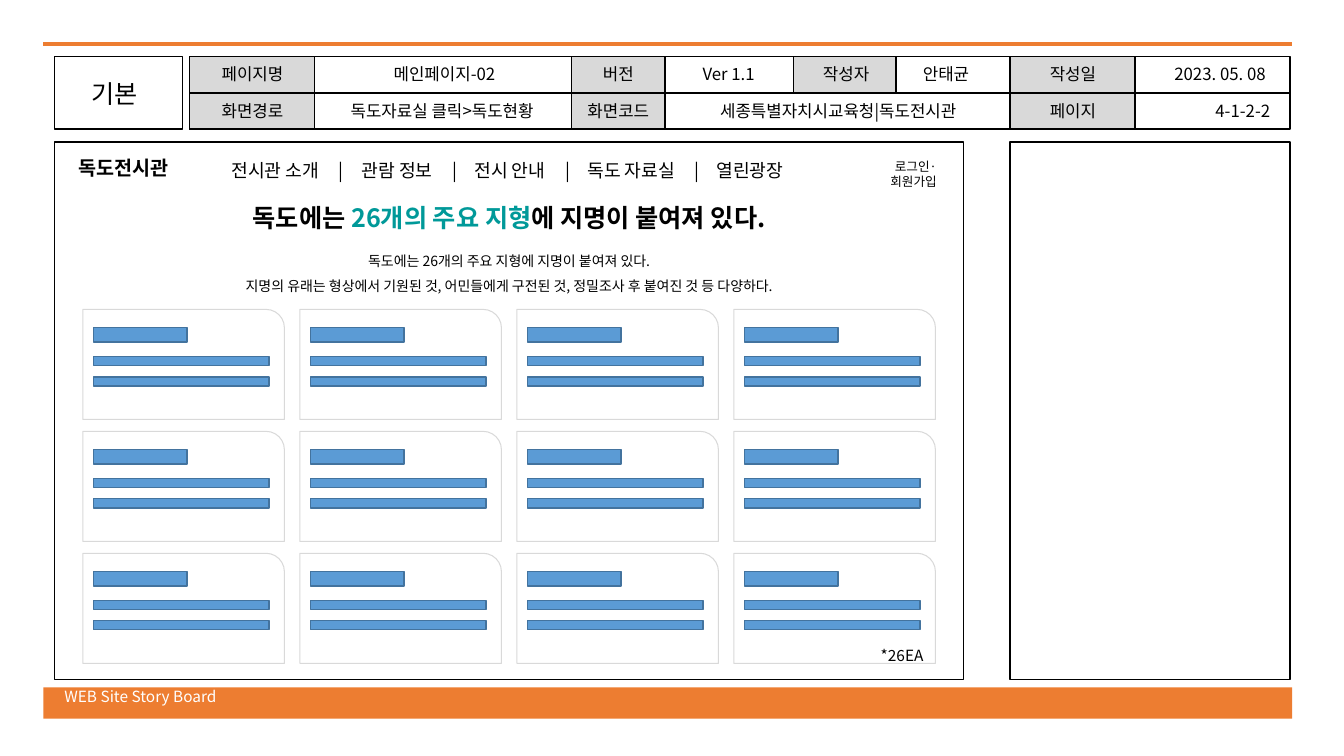
from lxml import etree
from pptx import Presentation
from pptx.dml.color import RGBColor
from pptx.enum.shapes import MSO_CONNECTOR, MSO_SHAPE
from pptx.enum.text import MSO_ANCHOR, MSO_AUTO_SIZE, PP_ALIGN
from pptx.oxml.ns import qn
from pptx.util import Pt

RECT, CARD = MSO_SHAPE.RECTANGLE, MSO_SHAPE.ROUND_1_RECTANGLE
STRAIGHT = MSO_CONNECTOR.STRAIGHT
TOP, NO_FIT = MSO_ANCHOR.TOP, MSO_AUTO_SIZE.NONE
LEFT, CENTER, RIGHT = PP_ALIGN.LEFT, PP_ALIGN.CENTER, PP_ALIGN.RIGHT

COLORS = {
    "orange": "ED7D31", "black": "000000", "white": "FFFFFF", "label": "D9D9D9",
    "bar": "5B9BD5", "bar_edge": "43739E", "teal": "009999",
}


class Board:
    """Style and current slide of a storyboard; all lengths are points."""

    font = "Noto Sans CJK KR"

    def __init__(self, slide):
        self.s = slide

    def color(self, name):
        return RGBColor.from_string(COLORS[name])

    def box(self, x, y, w, h, fill=None, line="black", width=1, kind=RECT, shapes=None):
        sp = (shapes or self.s.shapes).add_shape(kind, Pt(x), Pt(y), Pt(w), Pt(h))
        sp.shadow.inherit = False
        if fill:
            sp.fill.solid()
            sp.fill.fore_color.rgb = self.color(fill)
        else:
            sp.fill.background()
        if line:
            sp.line.color.rgb = self.color(line)
            sp.line.width = Pt(width)
        else:
            sp.line.fill.background()

    def rule(self, x1, x2, y, color, width):
        cn = self.s.shapes.add_connector(STRAIGHT, Pt(x1), Pt(y), Pt(x2), Pt(y))
        cn.line.color.rgb = self.color(color)
        cn.line.width = Pt(width)
        etree.SubElement(cn._element.spPr, qn("a:effectLst"))

    def run(self, p, text, size, color, bold):
        r = p.add_run()
        r.text = text
        r.font.name = self.font
        r.font.size = Pt(size)
        r.font.bold = bold
        r.font.color.rgb = self.color(color)
        etree.SubElement(r.font._element, qn("a:ea"), typeface=self.font)

    def fill_text(self, sp, lines, size, align, bold, spacing, stops):
        tf = sp.text_frame
        tf.word_wrap = True
        tf.auto_size = NO_FIT
        tf.vertical_anchor = TOP
        p = tf.paragraphs[0]
        p.alignment = align
        p.line_spacing = spacing
        if stops:
            tabs = etree.SubElement(p._p.get_or_add_pPr(), qn("a:tabLst"))
            for pos, kind in stops:
                etree.SubElement(tabs, qn("a:tab"), pos=str(Pt(pos)), algn=kind)
        for i, runs in enumerate(lines):
            if i:
                p.add_line_break()
            for text, color in runs:
                self.run(p, text, size, color, bold)

    def text(self, x, y, w, h, lines, size=12, align=CENTER, color="black",
             bold=False, spacing=1.0, stops=()):
        sp = self.s.shapes.add_textbox(Pt(x), Pt(y), Pt(w), Pt(h))
        self.fill_text(sp, [[(t, color)] for t in lines], size, align, bold, spacing, stops)

    def title(self, x, y, w, h, runs, size):
        sp = self.s.shapes.title
        sp.left, sp.top, sp.width, sp.height = Pt(x), Pt(y), Pt(w), Pt(h)
        self.fill_text(sp, [runs], size, CENTER, True, 1.0, ())

    def card(self, x, y, shapes):
        self.box(x, y, 144, 78.6, "white", "label", 0.75, CARD, shapes)
        for dy, w, h in ((13, 67, 10.4), (33.6, 125.5, 6.5), (48.2, 125.5, 6.5)):
            self.box(x + 7.5, y + dy, w, h, "bar", "bar_edge", 1, RECT, shapes)


def header(b):
    b.box(39, 40.5, 91.5, 51.8)
    b.box(135.5, 40.5, 786, 51.8)
    for x, w in ((135.5, 89.3), (408.2, 67), (721.4, 89.3)):
        b.box(x, 40.5, w, 51.8, "label")
    b.rule(135.5, 921.5, 66.4, "black", 1)
    b.box(566.6, 40.5, 73.4, 25.9, "label")
    b.text(54.7, 52.4, 54, 29, ["기본"], 18)
    rows = (
        (42.3, ((146.9, 67, "페이지명"), (238.3, 158.4, "메인페이지-02"),
                (421.2, 41, "버전"), (492.5, 56, "Ver 1.1"), (577.4, 54, "작성자"),
                (648.7, 54, "안태균"), (739.4, 54, "작성일"), (828, 87, "2023. 05. 08"))),
        (68.5, ((146.9, 67, "화면경로"), (224, 183.6, "독도자료실 클릭>독도현황"),
                (408.2, 67, "화면코드"), (494, 209.5, "세종특별자치시교육청|독도전시관"),
                (739.4, 54, "페이지"))),
    )
    for y, cells in rows:
        for x, w, label in cells:
            b.text(x, y, w, 21.8, [label])
    b.text(843.8, 68.5, 70.6, 21.8, ["4-1-2-2"], align=RIGHT)


def screen(b):
    b.box(39, 101.5, 649.4, 384)
    b.box(721.4, 101.5, 200, 384)
    b.text(49, 108, 85, 24.2, ["독도전시관"], 14, LEFT, bold=True)
    stops = [(78.2, "ctr"), (92.9, "l"), (159.6, "ctr"), (173.6, "l"),
             (240.4, "ctr"), (254.3, "l"), (332.5, "ctr"), (346.4, "l")]
    menu = ("전시관 소개", "관람 정보", "전시 안내", "독도 자료실", "열린광장")
    b.text(158.3, 110.2, 428, 23, ["\t|\t".join(menu)], 13, LEFT, stops=stops)
    b.text(596.2, 110.2, 80, 30, ["로그인·", "회원가입"], 9, RIGHT)
    b.title(151.9, 141.1, 423.4, 29, [
        ("독도에는 ", "black"), ("26개의 주요 지형", "teal"),
        ("에 지명이 붙여져 있다.", "black")], 18)
    b.text(142.6, 170.6, 442, 41, [
        "독도에는 26개의 주요 지형에 지명이 붙여져 있다.",
        "지명의 유래는 형상에서 기원된 것, 어민들에게 구전된 것, 정밀조사 후 붙여진 것 등 다양하다.",
    ], 10, spacing=1.5)
    for row in range(3):
        group = b.s.shapes.add_group_shape()
        for col in range(4):
            b.card(59.2 + 155 * col, 221 + 87.1 * row, group.shapes)
    b.text(622, 458, 46, 21, ["*26EA"], 11, LEFT)


def main():
    prs = Presentation()
    prs.slide_width, prs.slide_height = Pt(960), Pt(540)
    b = Board(prs.slides.add_slide(prs.slide_layouts[5]))
    b.box(31, 491, 892, 22.3, "orange", None)
    b.text(38.9, 487.4, 163, 21, ["WEB Site Story Board"], 11, LEFT, "white")
    b.rule(31, 923, 31.7, "orange", 3)
    header(b)
    screen(b)
    prs.save("out.pptx")


if __name__ == "__main__":
    main()
